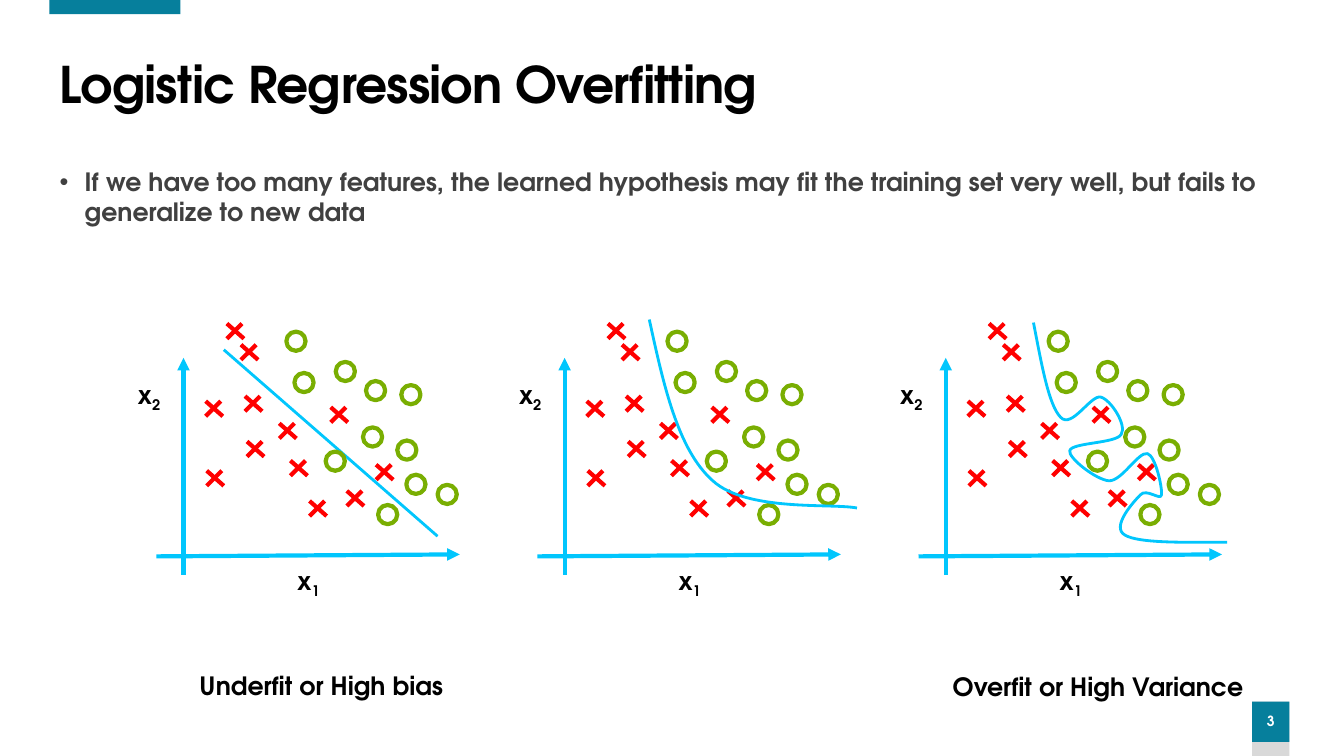
from lxml.etree import SubElement
from pptx import Presentation
from pptx.dml.color import RGBColor
from pptx.enum.shapes import MSO_CONNECTOR, MSO_SHAPE
from pptx.enum.text import MSO_ANCHOR, MSO_AUTO_SIZE, PP_ALIGN
from pptx.oxml.ns import qn
from pptx.util import Pt

PX = 9144  # 100 px to the inch
FONT = "TeX Gyre Adventor"
TEAL, GREY, BLACK, WHITE, DARK = "067F9C", "D9D9D9", "000000", "FFFFFF", "404040"
RED, GREEN, CYAN = "FF0000", "79AE02", "01C6FD"


def paint(fill, color):
    fill.solid()
    fill.fore_color.rgb = RGBColor.from_string(color)


def write(box, spans, size=18, color=BLACK, frame_format=None, para_format=None):
    """Fill a box with one paragraph; each span is (text, run attributes)."""
    frame = box.text_frame
    for name, value in {"word_wrap": True, **(frame_format or {})}.items():
        setattr(frame, name, value)
    para = frame.paragraphs[0]
    for name, value in (para_format or {}).items():
        setattr(para, name, value)
    for text, attributes in spans:
        span = para.add_run()
        span.text = text
        for name, value in {"name": FONT, "size": Pt(size), "bold": True}.items():
            setattr(span.font, name, value)
        paint(span.font.fill, color)
        for name, value in attributes.items():
            span.font._element.set(name, value)
    return para


deck = Presentation()
deck.slide_width, deck.slide_height = 1333 * PX, 750 * PX
page = deck.slides.add_slide(deck.slide_layouts[1])
title, body = page.placeholders

# Decorative bars and page number
for left, top, width, height, color in [
    (49, 0, 130, 14, TEAL),
    (1242, 696, 37, 54, GREY),
    (1242, 696, 37, 40, TEAL),
]:
    bar = page.shapes.add_shape(
        MSO_SHAPE.RECTANGLE, left * PX, top * PX, width * PX, height * PX)
    bar.shadow.inherit = False
    bar.line.fill.background()
    paint(bar.fill, color)
write(bar, [("3", {})], 10, WHITE,
      {"margin_left": 0, "margin_right": 0, "vertical_anchor": MSO_ANCHOR.MIDDLE},
      {"alignment": PP_ALIGN.CENTER, "line_spacing": 0.9})

# Title and bullet
for holder, top, height in [(title, 54, 65), (body, 160, 522)]:
    holder.left, holder.top = 49 * PX, top * PX
    holder.width, holder.height = 1222 * PX, height * PX
write(title, [("Logistic Regression Overfitting", {"spc": "-60"})], 36, BLACK,
      {"vertical_anchor": MSO_ANCHOR.MIDDLE, "auto_size": MSO_AUTO_SIZE.NONE},
      {"alignment": PP_ALIGN.LEFT, "line_spacing": 0.9})
bullet = write(
    body,
    [("If we have too many features, the learned hypothesis may fit the training set "
      "very well, but fails to generalize to new data", {})],
    18, DARK,
    {"vertical_anchor": MSO_ANCHOR.TOP, "auto_size": MSO_AUTO_SIZE.NONE},
    {"space_before": Pt(3), "space_after": Pt(3)})
bullet_format = bullet._p.get_or_add_pPr()
bullet_format.set("marL", str(25 * PX))
bullet_format.set("indent", str(-25 * PX))
SubElement(bullet_format, qn("a:buFont"), typeface="Arial")
SubElement(bullet_format, qn("a:buChar"), char="•")

# Training data, placed as in the first plot
PITCH = 378
CROSSES = [(225, 321), (239, 342), (344, 487), (328, 404), (245, 438), (205, 467),
           (373, 461), (277, 420), (288, 457), (307, 497), (204, 398), (243, 393)]
CIRCLES = [(323, 448), (434, 481), (292, 370), (363, 378), (394, 437), (375, 501),
           (403, 471), (360, 424), (333, 359), (284, 329), (398, 382)]
AXES = [(182, 570, 182, 355), (155, 552, 456, 550)]
LABELS = [("2", 127, 371, 56, PP_ALIGN.LEFT), ("1", 232, 556, 148, PP_ALIGN.CENTER)]

# Decision curves: a start point, then three points for each Bezier segment
CURVES = [
    [(644, 317), (658, 381), (672, 446), (707, 477), (741, 508), (825, 499), (850, 504)],
    [(1025, 320), (1033, 361), (1040, 402), (1052, 414),
     (1063, 426), (1082, 391), (1092, 394), (1102, 397), (1118, 422), (1112, 431),
     (1107, 440), (1063, 439), (1061, 447), (1059, 454), (1087, 476), (1100, 477),
     (1113, 477), (1129, 448), (1138, 450), (1146, 452), (1153, 484), (1152, 491),
     (1151, 497), (1137, 484), (1131, 491), (1125, 497), (1101, 523), (1116, 531),
     (1130, 539), (1174, 538), (1217, 538)],
]
strokes = []

for panel in range(3):
    shift = panel * PITCH
    # The outer plots are grouped, the middle one lies directly on the page
    plot = page.shapes if panel == 1 else page.shapes.add_group_shape().shapes

    # Crosses, axes and the straight boundary
    lines = [(*axis, CYAN, 3, True) for axis in AXES]
    for x, y in CROSSES:
        lines += [(x, y, x + 17, y + 15, RED, 3, False),
                  (x, y + 15, x + 15, y, RED, 3, False)]
    if panel == 0:
        lines.append((222, 347, 434, 532, CYAN, 2, False))
    for x1, y1, x2, y2, color, weight, arrow in lines:
        line = plot.add_connector(MSO_CONNECTOR.STRAIGHT, (x1 + shift) * PX, y1 * PX,
                                  (x2 + shift) * PX, y2 * PX)
        strokes.append((line, color, weight, arrow))

    # Circles
    for x, y in CIRCLES:
        circle = plot.add_shape(MSO_SHAPE.OVAL, (x + shift) * PX, y * PX, 19 * PX, 19 * PX)
        circle.fill.background()
        strokes.append((circle, GREEN, 3, False))

    # Axis labels
    for index, left, top, width, align in LABELS:
        label = plot.add_textbox((left + shift) * PX, top * PX, width * PX, 40 * PX)
        write(label, [("x", {}), (index, {"baseline": "-25000"})],
              frame_format={"auto_size": MSO_AUTO_SIZE.SHAPE_TO_FIT_TEXT},
              para_format={"alignment": align})

# Curved boundaries: every three line steps become one Bezier segment
for knots in CURVES:
    builder = page.shapes.build_freeform(*knots[0], scale=PX)
    builder.add_line_segments(knots[1:], close=False)
    curve = builder.convert_to_shape()
    curve.fill.background()
    outline = next(curve.element.iter(qn("a:moveTo"))).getparent()
    for number, step in enumerate(outline.findall(qn("a:lnTo"))):
        if number % 3 == 0:
            bezier = SubElement(outline, qn("a:cubicBezTo"))
        bezier.append(step[0])
        outline.remove(step)
    strokes.append((curve, CYAN, 2, False))

# Line formats, arrowheads and no shadows
for shape, color, weight, arrow in strokes:
    paint(shape.line.fill, color)
    shape.line.width = Pt(weight)
    properties = shape.element.spPr
    if arrow:
        SubElement(properties.find(qn("a:ln")), qn("a:tailEnd"), type="triangle")
    SubElement(properties, qn("a:effectLst"))

# Captions
for text, left, top, width in [("Underfit or High bias", 188, 660, 264),
                               ("Overfit or High Variance", 935, 661, 313)]:
    caption = page.shapes.add_textbox(left * PX, top * PX, width * PX, 40 * PX)
    write(caption, [(text, {})],
          frame_format={"word_wrap": False, "auto_size": MSO_AUTO_SIZE.SHAPE_TO_FIT_TEXT})

deck.save("out.pptx")
